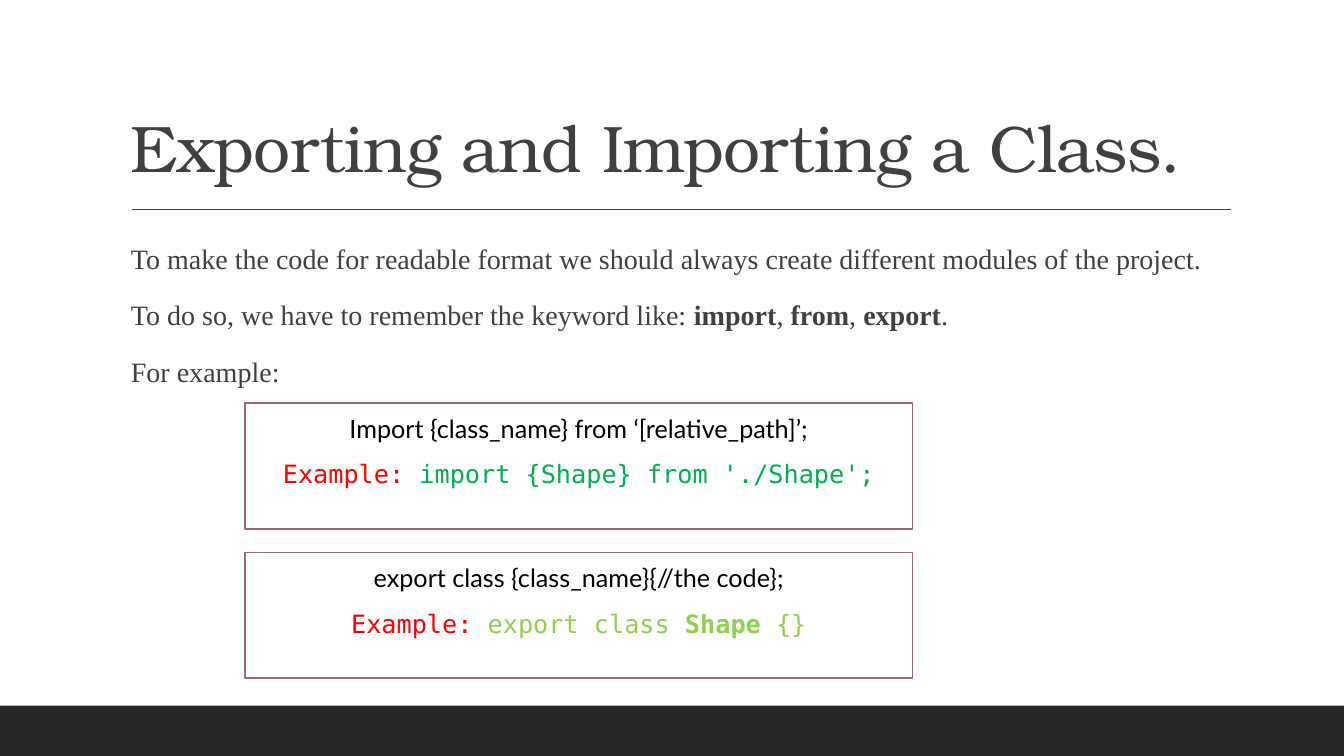
import pptx
import pptx.util
import pptx.dml.color
import pptx.enum.shapes
import pptx.enum.text
import pptx.oxml.ns
from lxml import etree

Inches, Pt = pptx.util.Inches, pptx.util.Pt
ANCHOR = pptx.enum.text.MSO_ANCHOR
ALIGN = pptx.enum.text.PP_ALIGN

theme = {
    "dark": "262626", "gray": "404040", "frame": "9C6A6A", "white": "FFFFFF",
    "black": "000000", "red": "FF0000", "green": "00B050", "lime": "92D050",
    "head": "TeX Gyre Bonum", "body": "Times New Roman",
    "plain": "Lato", "mono": "DejaVu Sans Mono",
    "head_pt": 47, "body_pt": 20, "code_pt": 18,
}


def color(name):
    return pptx.dml.color.RGBColor.from_string(theme[name])


def add_run(para, text, face, size, tint, bold=False):
    run = para.add_run()
    run.text = text
    run.font.name = theme[face]
    run.font.size = Pt(theme[size])
    run.font.color.rgb = color(tint)
    run.font.bold = bold
    return run


deck = pptx.Presentation()
deck.slide_width, deck.slide_height = Inches(13.33), Inches(7.5)
slide = deck.slides.add_slide(deck.slide_layouts[6])
shapes = slide.shapes
RECT = pptx.enum.shapes.MSO_SHAPE.RECTANGLE

# Footer band
band = shapes.add_shape(RECT, 0, Inches(7), Inches(13.33), Inches(0.5))
band.shadow.inherit = False
band.fill.solid()
band.fill.fore_color.rgb = color("dark")
band.line.fill.background()

# Rule under the title
rule = shapes.add_connector(pptx.enum.shapes.MSO_CONNECTOR.STRAIGHT,
                            Inches(1.31), Inches(2.08), Inches(12.21), Inches(2.08))
rule.line.color.rgb = color("gray")
rule.line.width = Pt(1)
etree.SubElement(rule.element.spPr, pptx.oxml.ns.qn("a:effectLst"))

# Title
title = shapes.add_textbox(Inches(1.2), Inches(0.31), Inches(11), Inches(1.59)).text_frame
title.word_wrap = True
title.vertical_anchor = ANCHOR.BOTTOM
para = title.paragraphs[0]
para.line_spacing = 0.9
run = add_run(para, "Exporting and Importing a Class.", "head", "head_pt", "gray")
run.font._element.set("spc", "-50")

# Body text: runs alternate between regular and bold
lines = [
    ["To make the code for readable format we should always create "
     "different modules of the project."],
    ["To do so, we have to remember the keyword like: ",
     "import", ", ", "from", ", ", "export", "."],
    ["For example:"],
]
body = shapes.add_textbox(Inches(1.2), Inches(2.31), Inches(11), Inches(4.11)).text_frame
body.word_wrap = True
body.margin_left, body.margin_right = Inches(0.1), 0
for row, parts in enumerate(lines):
    para = body.add_paragraph() if row else body.paragraphs[0]
    para.line_spacing = 1.1
    para.space_before, para.space_after = Pt(12), Pt(2)
    for spot, text in enumerate(parts):
        add_run(para, text, "body", "body_pt", "gray", spot % 2 == 1)

# Syntax boxes: the general form, then an example in code
boxes = [
    ("Import {class_name} from ‘[relative_path]’;", "green",
     ["import {Shape} from './Shape';"]),
    ("export class {class_name}{//the code};", "lime",
     ["export class ", "Shape", " {}"]),
]
for row, (form, tint, parts) in enumerate(boxes):
    box = shapes.add_shape(RECT, Inches(2.43), Inches(4 + 1.48 * row),
                           Inches(6.62), Inches(1.25))
    box.shadow.inherit = False
    box.fill.solid()
    box.fill.fore_color.rgb = color("white")
    box.line.color.rgb = color("frame")
    box.line.width = Pt(1.25)
    frame = box.text_frame
    frame.word_wrap = True
    frame.vertical_anchor = ANCHOR.TOP
    frame.margin_top = Inches(0.1)
    top = frame.paragraphs[0]
    add_run(top, form, "plain", "code_pt", "black")
    code = frame.add_paragraph()
    code.space_before = Pt(10.8)
    add_run(code, "Example: ", "mono", "code_pt", "red")
    for spot, text in enumerate(parts):
        add_run(code, text, "mono", "code_pt", tint, spot % 2 == 1)
    for para in (top, code):
        para.alignment = ALIGN.CENTER

deck.save("out.pptx")
